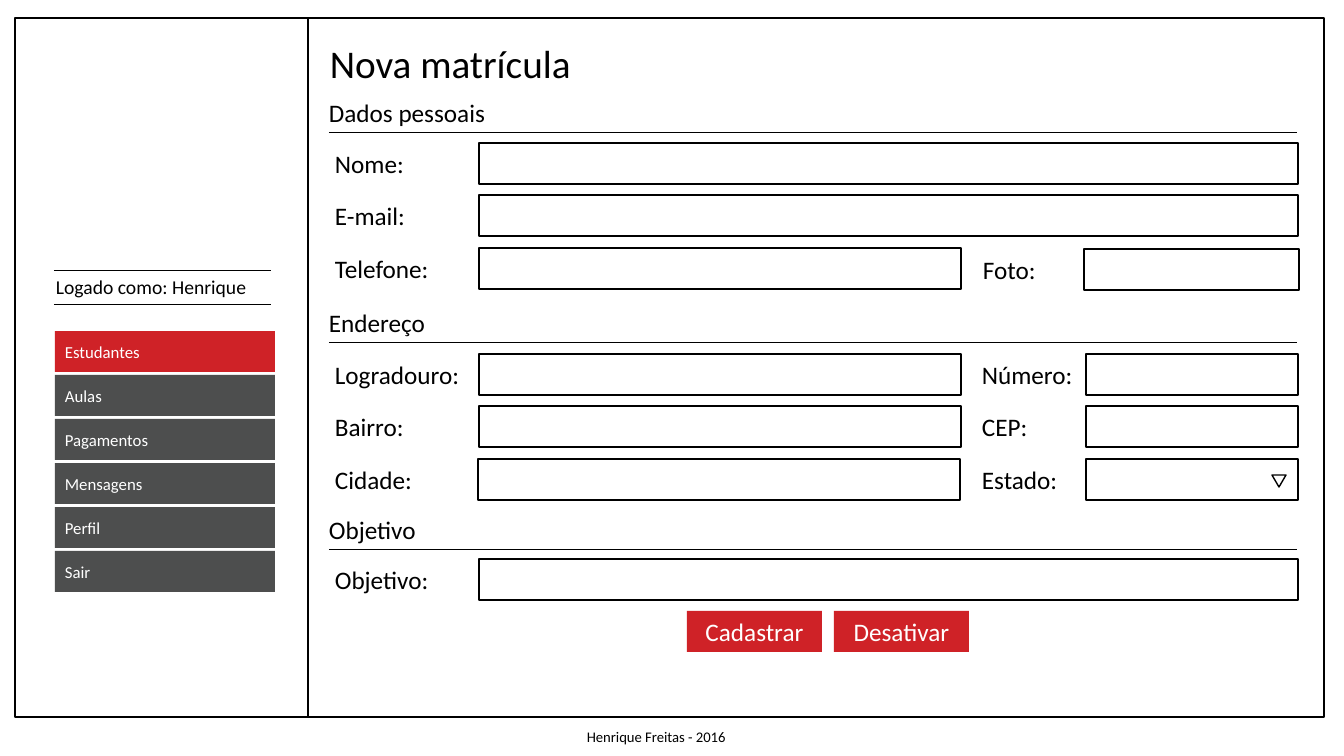
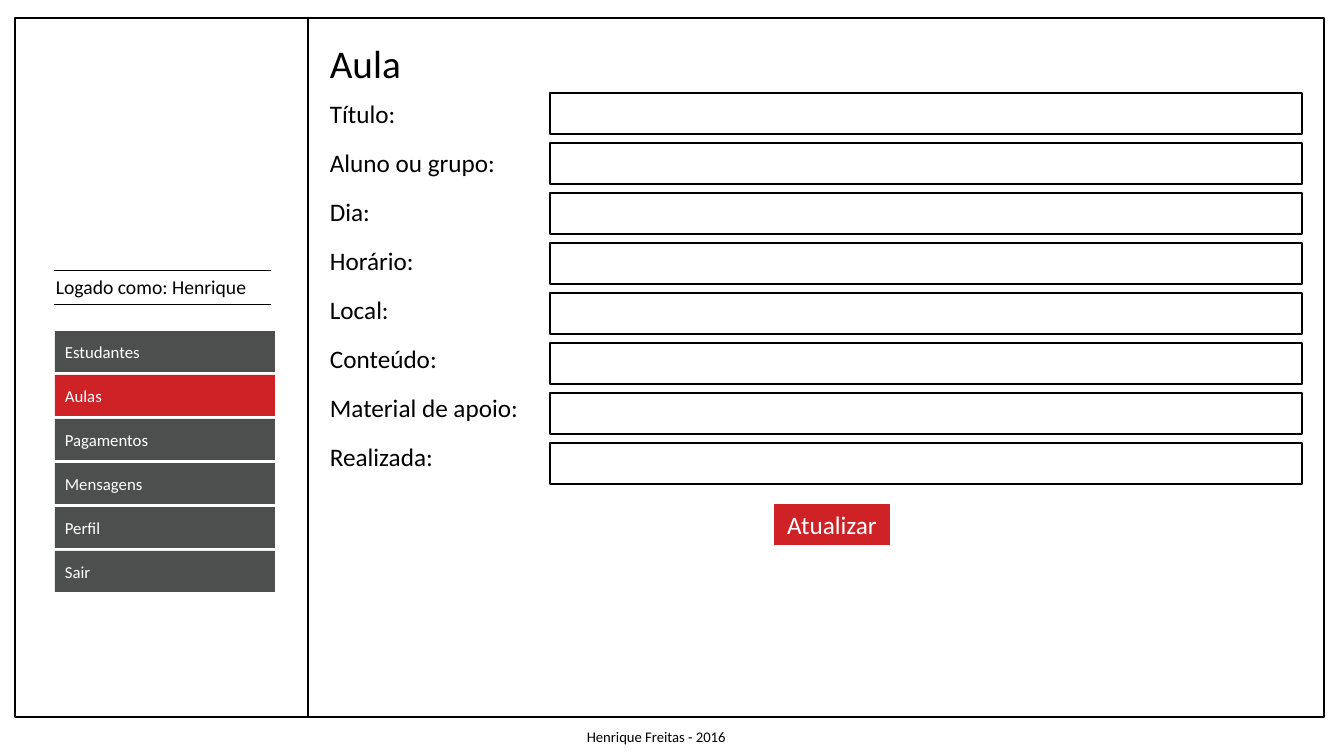
from lxml import etree
from pptx import Presentation
from pptx.dml.color import RGBColor
from pptx.enum.shapes import MSO_CONNECTOR, MSO_SHAPE
from pptx.enum.text import MSO_ANCHOR, MSO_AUTO_SIZE, PP_ALIGN
from pptx.oxml.ns import qn
from pptx.util import Emu, Pt

PX = 914400 / 100.8
BLACK, WHITE, RED, GRAY = "000000", "FFFFFF", "CF2227", "4D4E4E"
FONT = "Calibri"
ROW_H = 41
MENU = ["Estudantes", "Aulas", "Pagamentos", "Mensagens", "Perfil", "Sair"]


def add_box(s, x, y, w, h, kind=MSO_SHAPE.RECTANGLE, fill=None,
            text=None, size=18, align=PP_ALIGN.LEFT):
    """Filled box with white text, outlined empty box, or plain text if kind is None."""
    at = [Emu(round(v * PX)) for v in (x, y, w, h)]
    if kind is None:
        sp = s.shapes.add_textbox(*at)
        sp.text_frame.word_wrap = False
        sp.text_frame.auto_size = MSO_AUTO_SIZE.SHAPE_TO_FIT_TEXT
    else:
        sp = s.shapes.add_shape(kind, *at)
        sp.shadow.inherit = False
        sp.text_frame.vertical_anchor = MSO_ANCHOR.MIDDLE
        if fill:
            sp.fill.solid()
            sp.fill.fore_color.rgb = RGBColor.from_string(fill)
            sp.line.fill.background()
        else:
            sp.fill.background()
            sp.line.color.rgb = RGBColor.from_string(BLACK)
            sp.line.width = Pt(1)
    if text:
        p = sp.text_frame.paragraphs[0]
        p.alignment = align
        r = p.add_run()
        r.text = text
        r.font.name = FONT
        r.font.size = Pt(size)
        r.font.color.rgb = RGBColor.from_string(WHITE if fill else BLACK)
    return sp


def add_rule(s, x, y, w):
    ends = [Emu(round(v * PX)) for v in (x, y, x + w, y)]
    ln = s.shapes.add_connector(MSO_CONNECTOR.STRAIGHT, *ends)
    ln.line.color.rgb = RGBColor.from_string(BLACK)
    ln.line.width = Pt(0.5)
    etree.SubElement(ln._element.spPr, qn("a:effectLst"))


prs = Presentation()
prs.slide_width = Emu(round(1344 * PX))
prs.slide_height = Emu(round(756 * PX))

# Shared page: frames, login line, footer, menu and title
pages = []
for title, title_w, active in [("Nova matrícula", 264, "Estudantes"),
                               ("Aula", 92, "Aulas")]:
    s = prs.slides.add_slide(prs.slide_layouts[6])
    add_box(s, 308, 18, 1016, 699)
    add_box(s, 15, 18, 293, 699)
    add_box(s, 46, 270, 213, 34, None, text="Logado como: Henrique", size=14)
    for y in (270, 304):
        add_rule(s, 54, y, 217)
    add_box(s, 577, 723, 162, 28, None, text="Henrique Freitas - 2016", size=10.5)
    for i, item in enumerate(MENU):
        add_box(s, 55, 331 + 44 * i, 220, ROW_H,
                fill=RED if item == active else GRAY, text=item, size=12)
    add_box(s, 320, 34, title_w, 57, None, text=title, size=28)
    pages.append(s)
enrolment, lesson = pages

# Enrolment: section headings
for heading, y, w in [("Dados pessoais", 92, 178), ("Endereço", 302, 118),
                      ("Objetivo", 509, 108)]:
    add_box(enrolment, 319, y, w, ROW_H, None, text=heading)
    add_rule(enrolment, 329, y + 40, 968)

# Enrolment: label, label left and width, row top, field left and width
for label, x, w, y, field_x, field_w in [
    ("Nome:", 325, 90, 143, 479, 819),
    ("E-mail:", 325, 92, 195, 479, 819),
    ("Telefone:", 325, 115, 248, 479, 482),
    ("Foto:", 973, 74, 249, 1084, 215),
    ("Logradouro:", 325, 146, 354, 479, 482),
    ("Número:", 972, 112, 354, 1086, 212),
    ("Bairro:", 325, 90, 406, 479, 482),
    ("CEP:", 972, 67, 406, 1086, 212),
    ("Cidade:", 325, 99, 459, 478, 482),
    ("Estado:", 972, 97, 459, 1086, 212),
    ("Objetivo:", 325, 115, 559, 479, 819),
]:
    add_box(enrolment, x, y, w, ROW_H, None, text=label)
    add_box(enrolment, field_x, y, field_w, ROW_H)

# Enrolment: drop-down mark of the state field
arrow = add_box(enrolment, 1272, 475, 14, 12, MSO_SHAPE.ISOSCELES_TRIANGLE)
arrow.rotation = 180

# Lesson: labels and fields
for i, (label, w) in enumerate([
    ("Título:", 87), ("Aluno ou grupo:", 187), ("Dia:", 61), ("Horário:", 105),
    ("Local:", 80), ("Conteúdo:", 129), ("Material de apoio:", 211),
    ("Realizada:", 125),
]):
    add_box(lesson, 320, 93 + 49 * i, w, ROW_H, None, text=label)
    add_box(lesson, 550, 93 + 50 * i, 752, ROW_H)

# Buttons
for s, text, x, y, w in [(enrolment, "Cadastrar", 687, 611, 135),
                         (enrolment, "Desativar", 834, 611, 135),
                         (lesson, "Atualizar", 774, 504, 116)]:
    add_box(s, x, y, w, ROW_H, fill=RED, text=text, align=PP_ALIGN.CENTER)

prs.save("out.pptx")
